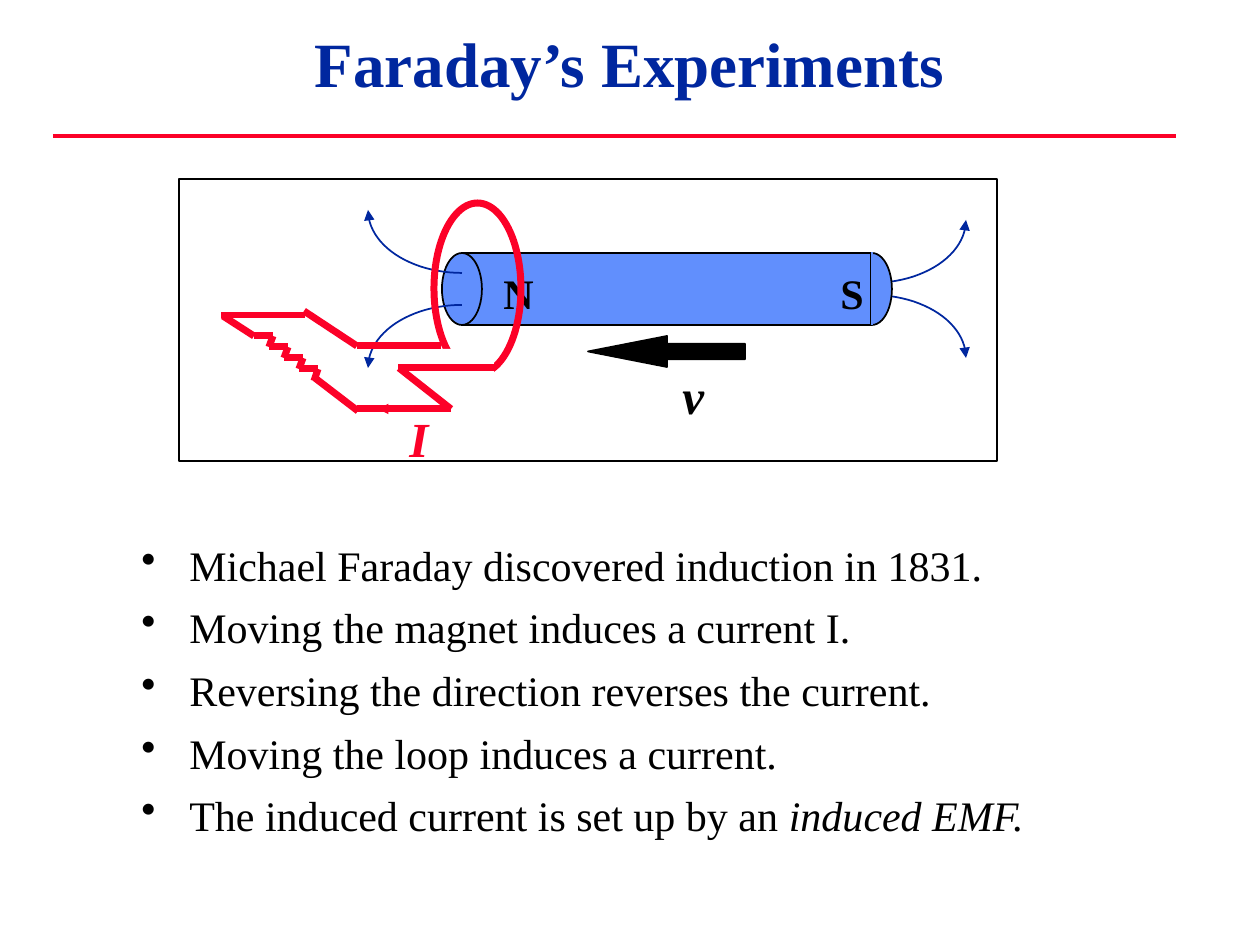
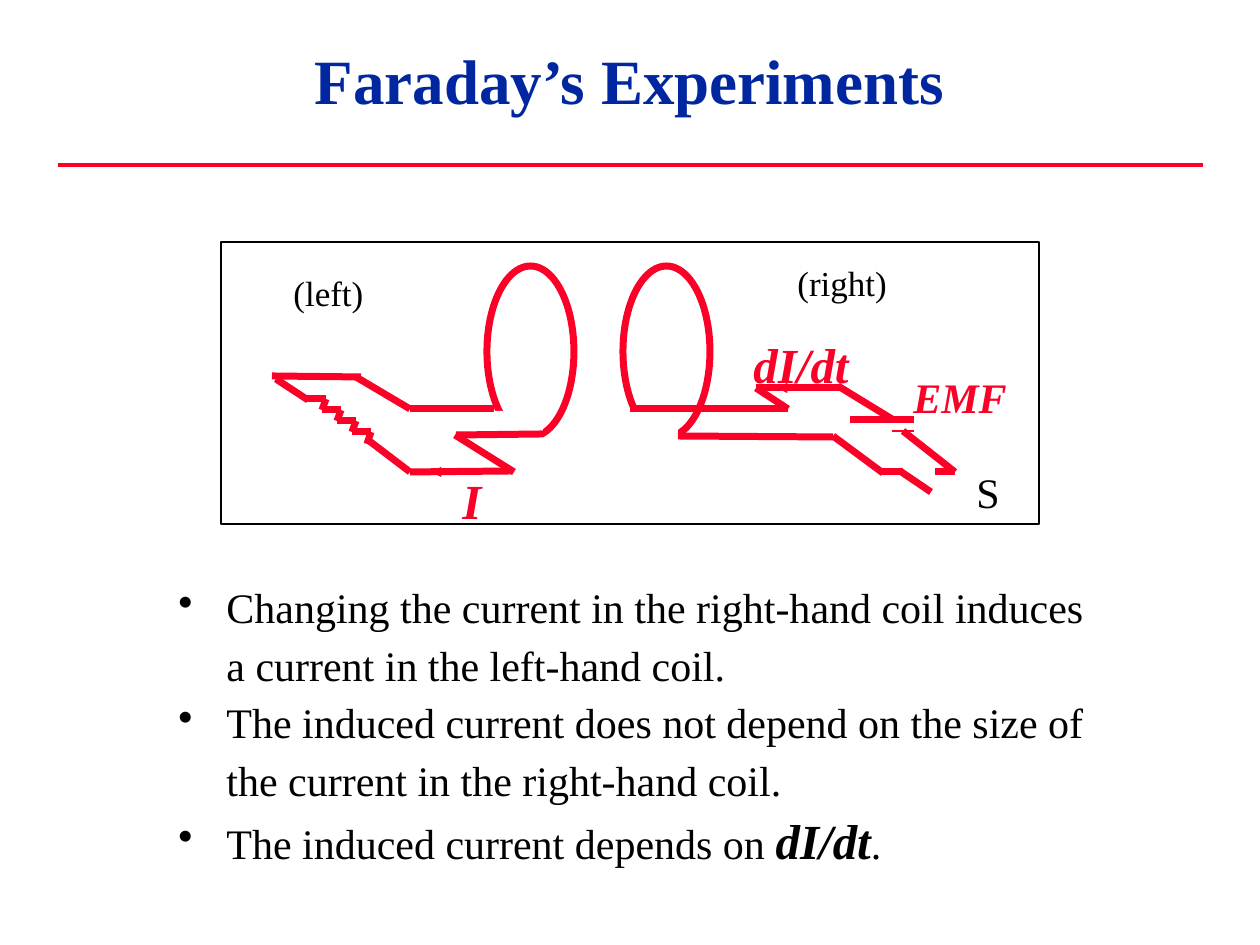
from dataclasses import dataclass
from itertools import pairwise
from math import cos, pi, sin

from lxml.etree import SubElement
from pptx import Presentation
from pptx.dml.color import RGBColor
from pptx.enum.shapes import MSO_CONNECTOR, MSO_SHAPE
from pptx.enum.text import MSO_ANCHOR, PP_ALIGN
from pptx.oxml.ns import qn
from pptx.util import Emu, Pt

# Shared look
PX_PER_INCH = 126
FONT = "Times New Roman"
NAVY, RED, BLUE, BLACK, WHITE = "00279F", "FC0128", "618FFD", "000000", "FFFFFF"
WIRE_WIDTH = 4
LOOP_SIZE = (87, 171)
PANEL_SIZE = (818, 282)


@dataclass(frozen=True)
class Box:
    left: int
    top: int
    width: int
    height: int


@dataclass(frozen=True)
class Label:
    text: str
    box: Box
    size: int = 24
    color: str = BLACK
    bold: bool = False
    italic: bool = False


@dataclass(frozen=True)
class Run:
    text: str
    size: int = 24
    bold: bool = False
    italic: bool = False


@dataclass(frozen=True)
class Item:
    runs: tuple[Run, ...]
    bullet: bool = True


@dataclass(frozen=True)
class FieldLine:
    center: tuple[int, int]
    side: int
    rise: int


def px(length: float) -> Emu:
    return Emu(round(length * 914400 / PX_PER_INCH))


def place(box: Box) -> tuple[Emu, ...]:
    return px(box.left), px(box.top), px(box.width), px(box.height)


def rgb(color: str) -> RGBColor:
    return RGBColor.from_string(color)


# Text
def add_run(paragraph, text: str, *, size: int, color: str = BLACK,
            bold: bool = False, italic: bool = False) -> None:
    run = paragraph.add_run()
    run.text = text
    font = run.font
    font.name, font.size, font.bold, font.italic = FONT, Pt(size), bold, italic
    font.color.rgb = rgb(color)


def add_text(slide, text: str, box: Box, *, centered: bool = False, **style) -> None:
    frame = slide.shapes.add_textbox(*place(box)).text_frame
    frame.word_wrap = centered
    paragraph = frame.paragraphs[0]
    if centered:
        frame.vertical_anchor = MSO_ANCHOR.MIDDLE
        paragraph.alignment = PP_ALIGN.CENTER
    add_run(paragraph, text, **style)


def add_labels(slide, labels: list[Label]) -> None:
    for label in labels:
        add_text(slide, label.text, label.box, size=label.size, color=label.color,
                 bold=label.bold, italic=label.italic)


def add_body(slide, box: Box, items: list[Item], line_spacing: float) -> None:
    frame = slide.shapes.add_textbox(*place(box)).text_frame
    frame.word_wrap = True
    for index, item in enumerate(items):
        paragraph = frame.add_paragraph() if index else frame.paragraphs[0]
        properties = paragraph._p.get_or_add_pPr()
        properties.set("marL", str(px(48)))
        properties.set("indent", str(px(-48) if item.bullet else 0))
        if item.bullet:
            SubElement(properties, qn("a:buChar"), char="•")
        paragraph.line_spacing = line_spacing
        paragraph.space_before = Pt(7 if index else 0)
        for run in item.runs:
            add_run(paragraph, run.text, size=run.size, bold=run.bold, italic=run.italic)


# Shapes and lines
def add_shape(slide, kind: MSO_SHAPE, box: Box, *, fill: str | None = None,
              line: str | None = None, width: float = 1):
    shape = slide.shapes.add_shape(kind, *place(box))
    shape.shadow.inherit = False
    if fill:
        shape.fill.solid()
        shape.fill.fore_color.rgb = rgb(fill)
    else:
        shape.fill.background()
    if line:
        shape.line.color.rgb = rgb(line)
        shape.line.width = Pt(width)
    else:
        shape.line.fill.background()
    return shape


def add_arrowhead(shape) -> None:
    """Put a triangle on the start of a line."""
    SubElement(shape.line._get_or_add_ln(), qn("a:headEnd"), type="triangle")


def add_line(slide, start: tuple[int, int], end: tuple[int, int], *, color: str = RED,
             width: float = WIRE_WIDTH, arrow: bool = False) -> None:
    connector = slide.shapes.add_connector(
        MSO_CONNECTOR.STRAIGHT, *(px(value) for value in (*start, *end)))
    connector.line.color.rgb = rgb(color)
    connector.line.width = Pt(width)
    if arrow:
        add_arrowhead(connector)
    SubElement(connector._element.spPr, qn("a:effectLst"))


def add_wires(slide, wires: list[list[tuple[int, int]]]) -> None:
    for wire in wires:
        for start, end in pairwise(wire):
            add_line(slide, start, end)


def add_resistor(slide, left: int, top: int) -> None:
    points = []
    for tooth in range(4):
        x, y = left + 15 * tooth, top + 45 * tooth // 4
        points += [(x, y), (x + 19, y)]
    add_wires(slide, [points + [(left + 60, top + 45)]])


def add_loop(slide, left: int, top: int, gap: Box) -> None:
    add_shape(slide, MSO_SHAPE.OVAL, Box(left, top, *LOOP_SIZE), line=RED, width=WIRE_WIDTH)
    add_shape(slide, MSO_SHAPE.RECTANGLE, gap, fill=WHITE)


def add_field_line(slide, field: FieldLine) -> None:
    """Quarter ellipse with its arrow at the outer tip."""
    steps = 24
    points = [(px(field.center[0] + field.side * 94 * cos(pi / 2 * step / steps)),
               px(field.center[1] + field.rise * 63 * sin(pi / 2 * step / steps)))
              for step in range(steps + 1)]
    builder = slide.shapes.build_freeform(*points[0], scale=1.0)
    builder.add_line_segments(points[1:], close=False)
    curve = builder.convert_to_shape()
    curve.shadow.inherit = False
    curve.fill.background()
    curve.line.color.rgb = rgb(NAVY)
    curve.line.width = Pt(1)
    add_arrowhead(curve)


def add_magnet(slide) -> None:
    for kind, box in ((MSO_SHAPE.OVAL, Box(852, 253, 40, 72)),
                      (MSO_SHAPE.RECTANGLE, Box(462, 253, 409, 72)),
                      (MSO_SHAPE.OVAL, Box(442, 253, 40, 72))):
        add_shape(slide, kind, box, fill=BLUE, line=BLACK)
    add_line(slide, (872, 252), (872, 325), color=BLUE, width=1)


def start_slide(presentation, title_box: Box, rule: Box, panel: tuple[int, int]):
    slide = presentation.slides.add_slide(presentation.slide_layouts[6])
    add_text(slide, "Faraday’s Experiments", title_box, centered=True,
             size=36, color=NAVY, bold=True)
    add_line(slide, (rule.left, rule.top), (rule.left + rule.width, rule.top), width=2.25)
    add_shape(slide, MSO_SHAPE.RECTANGLE, Box(*panel, *PANEL_SIZE), fill=WHITE, line=BLACK)
    return slide


# Slide 1: magnet moving towards a loop
def build_magnet_slide(presentation) -> None:
    slide = start_slide(presentation, Box(94, 10, 1071, 105), Box(53, 136, 1123, 0), (179, 179))
    add_resistor(slide, 254, 336)
    add_wires(slide, [
        [(357, 346), (304, 311)],
        [(305, 315), (221, 315)],
        [(254, 336), (223, 316)],
        [(358, 411), (315, 378)],
        [(399, 368), (451, 409), (357, 409)],
    ])
    for field in (FieldLine((872, 220), 1, 1), FieldLine((872, 358), 1, -1)):
        add_field_line(slide, field)
    add_magnet(slide)
    add_labels(slide, [
        Label("N", Box(491, 261, 55, 63), bold=True),
        Label("S", Box(828, 261, 48, 63), bold=True),
    ])
    for field in (FieldLine((462, 368), -1, -1), FieldLine((462, 210), -1, 1)):
        add_field_line(slide, field)
    add_loop(slide, 434, 203, Box(441, 349, 53, 30))
    add_wires(slide, [[(494, 368), (398, 368)], [(441, 346), (357, 346)]])
    motion = add_shape(slide, MSO_SHAPE.LEFT_ARROW, Box(588, 336, 157, 31),
                       fill=BLACK, line=BLACK)
    motion.adjustments[0], motion.adjustments[1] = 0.5, 2.55
    add_line(slide, (378, 409), (431, 409), width=1, arrow=True)
    add_labels(slide, [
        Label("I", Box(397, 402, 44, 71), 28, RED, True, True),
        Label("v", Box(670, 359, 47, 71), 28, BLACK, True, True),
    ])
    add_shape(slide, MSO_SHAPE.RECTANGLE, Box(451, 375, 59, 13), fill=WHITE)
    add_body(slide, Box(129, 533, 955, 315), [
        Item((Run("Michael Faraday discovered induction in 1831."),)),
        Item((Run("Moving the magnet induces a current I."),)),
        Item((Run("Reversing the direction reverses the current."),)),
        Item((Run("Moving the loop induces a current."),)),
        Item((Run("The induced current is set up by an "), Run("induced EMF.", italic=True))),
    ], 1.0)


# Slide 2: two facing coils
def build_coils_slide(presentation) -> None:
    slide = start_slide(presentation, Box(94, 0, 1071, 158), Box(58, 165, 1145, 0), (221, 242))

    # Left coil
    add_resistor(slide, 307, 399)
    add_wires(slide, [
        [(494, 409), (410, 409), (356, 377)],
        [(361, 377), (272, 376)],
        [(308, 400), (276, 379)],
        [(410, 472), (368, 440)],
        [(455, 435), (514, 472)],
        [(512, 471), (410, 472)],
    ])
    add_loop(slide, 487, 266, Box(494, 411, 49, 36))
    add_wires(slide, [[(543, 434), (456, 435)]])
    add_line(slide, (431, 472), (483, 472), width=1, arrow=True)

    # Right coil with battery and switch
    add_wires(slide, [
        [(892, 419), (838, 386)],
        [(883, 473), (833, 436)],
        [(840, 388), (756, 388), (788, 409)],
        [(955, 472), (903, 431)],
    ])
    add_loop(slide, 623, 266, Box(631, 411, 47, 53))
    add_wires(slide, [
        [(678, 436), (833, 437)],
        [(850, 420), (914, 420)],
        [(955, 472), (935, 472)],
        [(900, 471), (931, 492)],
        [(903, 472), (882, 472)],
        [(630, 409), (788, 409)],
    ])
    add_line(slide, (892, 431), (914, 431), width=1)
    add_line(slide, (777, 388), (829, 388), width=1, arrow=True)

    add_labels(slide, [
        Label("I", Box(450, 464, 44, 71), 28, RED, True, True),
        Label("dI/dt", Box(741, 328, 120, 71), 28, RED, True, True),
        Label("S", Box(964, 460, 48, 63)),
        Label("EMF", Box(901, 365, 129, 63), 24, RED, True, True),
        Label("(right)", Box(785, 255, 115, 55), 20),
        Label("(left)", Box(281, 265, 95, 55), 20),
    ])
    add_body(slide, Box(166, 581, 939, 294), [
        Item((Run("Changing the current in the right-hand coil induces"),)),
        Item((Run("a current in the left-hand coil."),), bullet=False),
        Item((Run("The induced current does not depend on the size of"),)),
        Item((Run("the current in the right-hand coil."),), bullet=False),
        Item((Run("The induced current depends on "),
              Run("dI/dt", 28, True, True), Run("."))),
    ], 0.9)


def main() -> None:
    presentation = Presentation()
    presentation.slide_width, presentation.slide_height = px(1260), px(945)
    build_magnet_slide(presentation)
    build_coils_slide(presentation)
    presentation.save("out.pptx")


if __name__ == "__main__":
    main()
